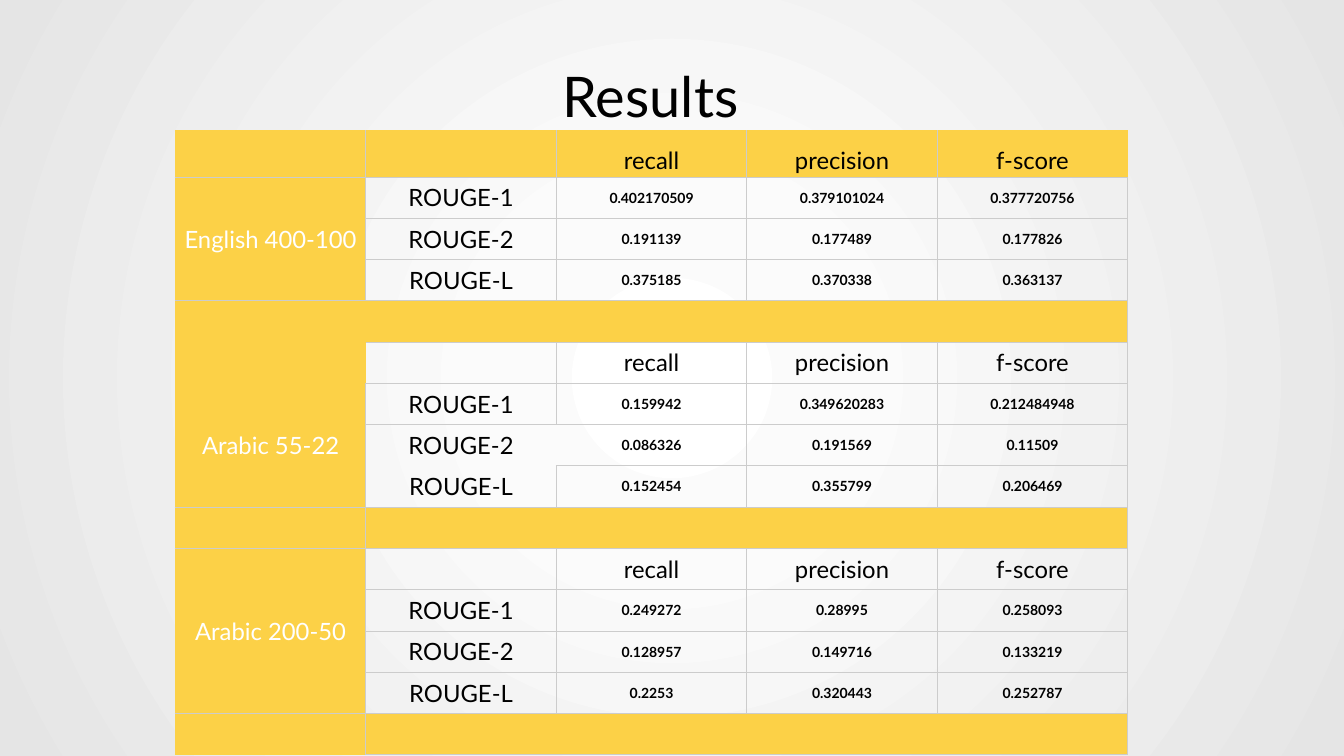
from dataclasses import dataclass

import pptx
import pptx.dml.color
import pptx.enum.text
import pptx.oxml
import pptx.oxml.ns
import pptx.util

Cm, Pt = pptx.util.Cm, pptx.util.Pt
ALIGN = pptx.enum.text.PP_ALIGN
ANCHOR = pptx.enum.text.MSO_ANCHOR
FONT = "Lato"
GOLD, GREY, BLACK, WHITE = "FCD147", "CCCCCC", "000000", "FFFFFF"
HEAD = ("recall", "precision", "f-score")
PLAIN = "{2D5ABB26-0587-4C30-8999-92F81FD0307C}"  # no style, no grid


@dataclass
class Block:
    name: str
    top: int  # first row of the merged name cell
    span: int
    start: int  # row of ROUGE-1
    scores: tuple[tuple[str, str, str], ...]


BLOCKS = (
    Block("English 400-100", 1, 3, 1, (
        ("0.402170509", "0.379101024", "0.377720756"),
        ("0.191139", "0.177489", "0.177826"),
        ("0.375185", "0.370338", "0.363137"))),
    Block("Arabic 55-22", 6, 3, 6, (
        ("0.159942", "0.349620283", "0.212484948"),
        ("0.086326", "0.191569", "0.11509"),
        ("0.152454", "0.355799", "0.206469"))),
    Block("Arabic 200-50", 10, 4, 11, (
        ("0.249272", "0.28995", "0.258093"),
        ("0.128957", "0.149716", "0.133219"),
        ("0.2253", "0.320443", "0.252787"))),
)
ROWS, COLS = 15, 5
BANDS = (4, 9, 14)

# Cells that draw only some of their sides
SIDES = {(4, 0): "", (5, 0): "", (4, 1): "RTB", (5, 1): "RTB",
         (6, 1): "LRT", (7, 1): "", (7, 2): "RTB", (8, 1): "LRB",
         (1, 0): "LRT", (2, 0): "LR", (3, 0): "LR",
         (6, 0): "LR", (7, 0): "LR", (8, 0): "LRB"}


def hue(code: str) -> pptx.dml.color.RGBColor:
    return pptx.dml.color.RGBColor.from_string(code)


def write(frame, text: str, size: float, code: str, bold: bool = False) -> None:
    frame.text = text
    line = frame.paragraphs[0]
    line.alignment = ALIGN.CENTER
    for run in line.runs:
        font = run.font
        font.name, font.size, font.bold = FONT, Pt(size), bold
        font.color.rgb = hue(code)


def node(xml: str):
    space = pptx.oxml.ns.nsdecls("a")
    return pptx.oxml.parse_xml(xml.replace(">", f" {space}>", 1))


def edge(cell, row: int, col: int) -> None:
    gold = {"L": col == 0, "T": row == 0,
            "R": (row, col) == (0, COLS - 1),
            "B": (row, col) == (ROWS - 1, 0)}
    props = cell._tc.get_or_add_tcPr()
    for spot, side in enumerate(SIDES.get((row, col), "LRTB")):
        code = GOLD if gold[side] else GREY
        props.insert(spot, node(
            f'<a:ln{side} w="9525"><a:solidFill><a:srgbClr val="{code}"/>'
            f'</a:solidFill></a:ln{side}>'))


def paint(slide) -> None:
    slide.background.fill.gradient()
    grad = slide.element.xpath(".//p:bgPr/a:gradFill")[0]
    for child in list(grad):
        grad.remove(child)
    stops = "".join(
        f'<a:gs pos="{spot * 1000}"><a:srgbClr val="{code}"/></a:gs>'
        for spot, code in ((3, WHITE), (23, "FBFBFB"), (100, "E5E5E5")))
    grad.append(node(f"<a:gsLst>{stops}</a:gsLst>"))
    grad.append(node(
        '<a:path path="circle"><a:fillToRect l="50000" t="50000" '
        'r="50000" b="50000"/></a:path>'))


def fill(grid) -> None:
    def put(row: int, col: int, text: str, size: float = 17,
            code: str = BLACK, bold: bool = False) -> None:
        write(grid.cell(row, col).text_frame, text, size, code, bold)

    for block in BLOCKS:
        put(block.top, 0, block.name, code=WHITE)
        for step, scores in enumerate(block.scores):
            row = block.start + step
            put(row, 1, "ROUGE-" + "12L"[step])
            for col, score in enumerate(scores, 2):
                put(row, col, score, 10, bold=True)
    for row in (0, 5, 10):
        for col, word in enumerate(HEAD, 2):
            put(row, col, word)


def build(slide) -> None:
    frame = slide.shapes.add_table(
        ROWS, COLS, Cm(4.42), Cm(3.29), Cm(24), Cm(15.73))
    grid = frame.table
    grid.first_row = grid.horz_banding = False
    grid._tbl.tblPr.find(pptx.oxml.ns.qn("a:tableStyleId")).text = PLAIN
    for col in grid.columns:
        col.width = Cm(4.8)
    for num, row in enumerate(grid.rows):
        row.height = Cm(1.04 if num else 1.17)

    # Fills, insets and borders
    for row in range(ROWS):
        for col in range(COLS):
            cell = grid.cell(row, col)
            cell.margin_left = cell.margin_right = Cm(0.08)
            cell.margin_top = cell.margin_bottom = Cm(0.05)
            cell.vertical_anchor = ANCHOR.MIDDLE if row else ANCHOR.BOTTOM
            if col == 0 or row == 0 or row in BANDS:
                cell.fill.solid()
                cell.fill.fore_color.rgb = hue(GOLD)
            else:
                cell.fill.background()
            edge(cell, row, col)

    # Merged names and bands
    for block in BLOCKS:
        last = block.top + block.span - 1
        grid.cell(block.top, 0).merge(grid.cell(last, 0))
    for row in BANDS:
        grid.cell(row, 1).merge(grid.cell(row, COLS - 1))
    fill(grid)


def main() -> None:
    deck = pptx.Presentation()
    deck.slide_width, deck.slide_height = Cm(33.87), Cm(19.05)
    slide = deck.slides.add_slide(deck.slide_layouts[6])
    paint(slide)
    build(slide)

    # Title
    title = slide.shapes.add_textbox(Cm(13.92), Cm(1.42), Cm(4.95), Cm(1.96))
    title.text_frame.word_wrap = False
    title.text_frame.auto_size = pptx.enum.text.MSO_AUTO_SIZE.SHAPE_TO_FIT_TEXT
    write(title.text_frame, "Results", 40, BLACK)
    deck.save("out.pptx")


if __name__ == "__main__":
    main()
